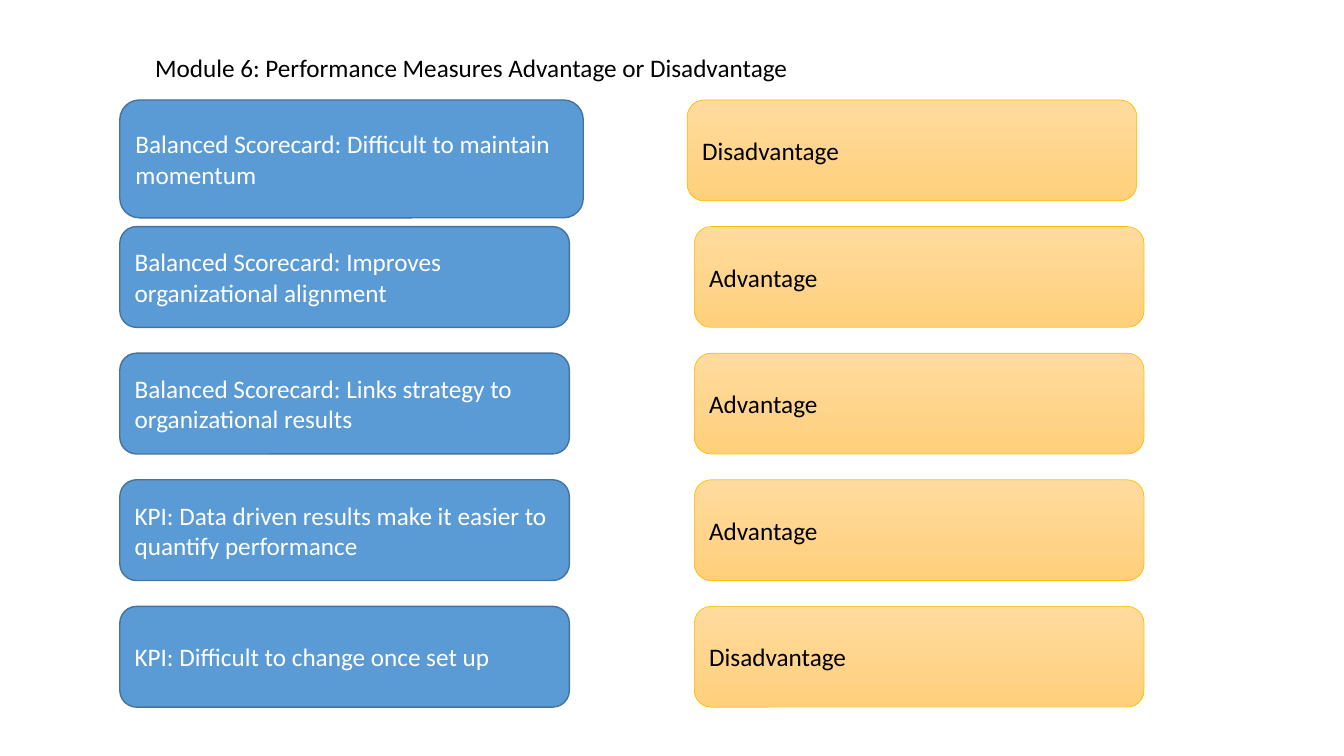
import pptx
import pptx.dml.color
import pptx.enum.shapes
import pptx.enum.text
import pptx.util

Cm = pptx.util.Cm
Pt = pptx.util.Pt

COLORS = {
    "measure": "5B9BD5",
    "measure_line": "43739E",
    "verdict_top": "FFDB9E",
    "verdict_bottom": "FFD07C",
    "verdict_line": "FFC000",
    "light": "FFFFFF",
    "dark": "000000",
}
FONT = {"name": "Calibri", "size": Pt(18)}

TITLE = "Module 6: Performance Measures Advantage or Disadvantage"
ROWS = [
    ("Balanced Scorecard: Difficult to maintain momentum", "Disadvantage"),
    ("Balanced Scorecard: Improves organizational alignment", "Advantage"),
    ("Balanced Scorecard: Links strategy to organizational results", "Advantage"),
    ("KPI: Data driven results make it easier to quantify performance", "Advantage"),
    ("KPI: Difficult to change once set up", "Disadvantage"),
]

# Row layout in centimetres
ROW_LEFT, ROW_TOP, ROW_PITCH = 3.02, 2.52, 3.19
CARD_WIDTH, CARD_HEIGHT = 11.33, 2.54
VERDICT_OFFSET = 14.48
FIRST_MEASURE_SIZE = (11.68, 2.97)
FIRST_VERDICT_SHIFT = -0.18


def rgb(name):
    return pptx.dml.color.RGBColor.from_string(COLORS[name])


def write_text(shape, text, color):
    paragraph = shape.text_frame.paragraphs[0]
    paragraph.alignment = pptx.enum.text.PP_ALIGN.LEFT
    run = paragraph.add_run()
    run.text = text
    for attribute, value in FONT.items():
        setattr(run.font, attribute, value)
    run.font.color.rgb = rgb(color)


def add_title(slide, left, top, width, height):
    shape = slide.shapes.add_textbox(Cm(left), Cm(top), Cm(width), Cm(height))
    shape.text_frame.word_wrap = False
    shape.text_frame.auto_size = pptx.enum.text.MSO_AUTO_SIZE.SHAPE_TO_FIT_TEXT
    write_text(shape, TITLE, "dark")


def add_card(slide, left, top, width, height, text, text_color, line_color, line_width):
    shape = slide.shapes.add_shape(
        pptx.enum.shapes.MSO_SHAPE.ROUNDED_RECTANGLE,
        Cm(left), Cm(top), Cm(width), Cm(height))
    shape.shadow.inherit = False
    shape.line.color.rgb = rgb(line_color)
    shape.line.width = Pt(line_width)
    shape.text_frame.word_wrap = True
    shape.text_frame.vertical_anchor = pptx.enum.text.MSO_ANCHOR.MIDDLE
    write_text(shape, text, text_color)
    return shape


def add_measure(slide, left, top, width, height, text):
    shape = add_card(slide, left, top, width, height, text, "light", "measure_line", 1)
    shape.fill.solid()
    shape.fill.fore_color.rgb = rgb("measure")


def add_verdict(slide, left, top, width, height, text):
    shape = add_card(slide, left, top, width, height, text, "dark", "verdict_line", 0.5)
    shape.fill.gradient()
    shape.fill.gradient_angle = 270
    for stop, color in zip(shape.fill.gradient_stops, ("verdict_top", "verdict_bottom")):
        stop.color.rgb = rgb(color)


def add_rows(slide, left, top):
    for index, (measure, verdict) in enumerate(ROWS):
        row_top = top + index * ROW_PITCH
        # The first row has a larger measure and a slightly shifted verdict
        size = (CARD_WIDTH, CARD_HEIGHT) if index else FIRST_MEASURE_SIZE
        shift = 0 if index else FIRST_VERDICT_SHIFT
        add_measure(slide, left, row_top, *size, measure)
        add_verdict(slide, left + VERDICT_OFFSET + shift, row_top,
                    CARD_WIDTH, CARD_HEIGHT, verdict)


def main():
    presentation = pptx.Presentation()
    presentation.slide_width = Cm(33.87)
    presentation.slide_height = Cm(19.05)
    slide = presentation.slides.add_slide(presentation.slide_layouts[6])
    add_title(slide, 3.66, 1.2, 16.64, 1.03)
    add_rows(slide, ROW_LEFT, ROW_TOP)
    presentation.save("out.pptx")


if __name__ == "__main__":
    main()
